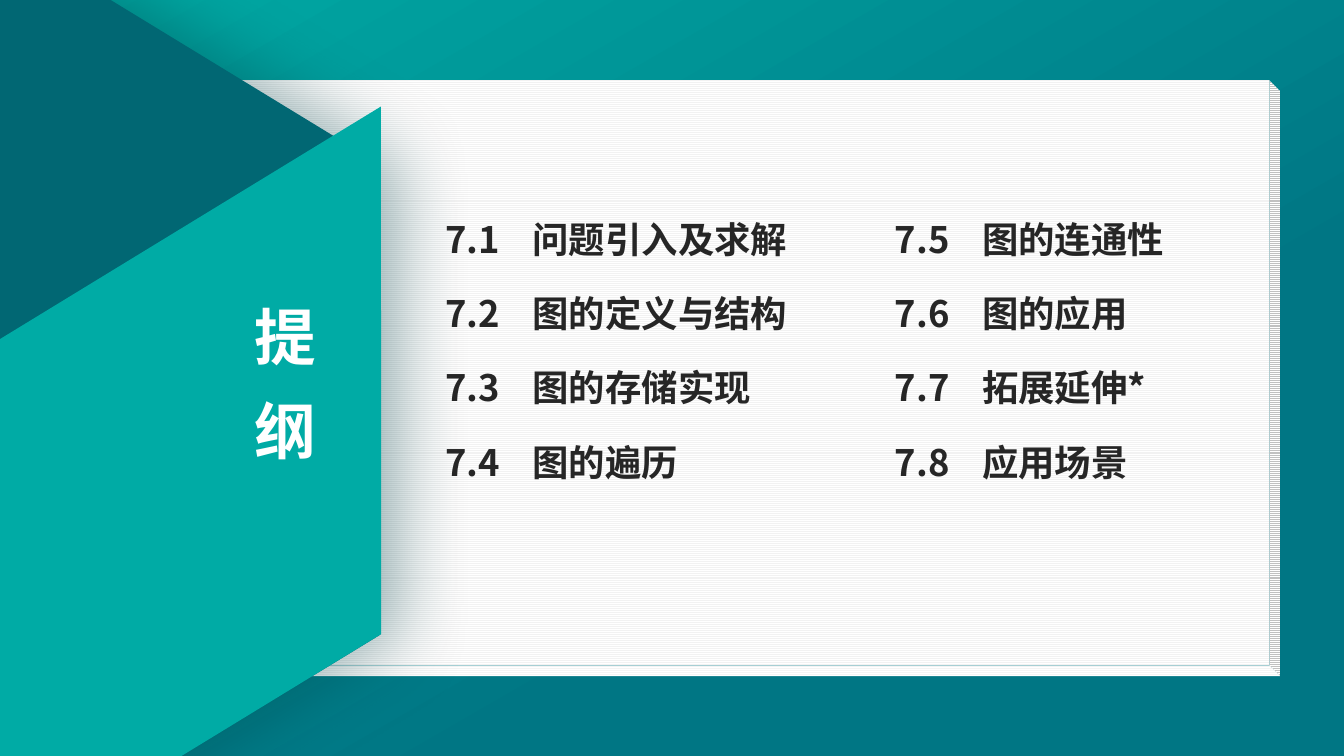
from dataclasses import dataclass

from lxml import etree
from pptx import Presentation
from pptx.dml.color import RGBColor
from pptx.enum.dml import MSO_PATTERN
from pptx.enum.shapes import MSO_SHAPE
from pptx.enum.text import MSO_ANCHOR, MSO_AUTO_SIZE, PP_ALIGN
from pptx.oxml.ns import qn
from pptx.util import Cm, Pt

CUBE, HEXAGON, PARALLELOGRAM = MSO_SHAPE.CUBE, MSO_SHAPE.HEXAGON, MSO_SHAPE.PARALLELOGRAM
LINES = MSO_PATTERN.LIGHT_HORIZONTAL
TOP, NO_FIT = MSO_ANCHOR.TOP, MSO_AUTO_SIZE.NONE
LEFT, CENTER = PP_ALIGN.LEFT, PP_ALIGN.CENTER

TITLE = ["提", "纲"]
OUTLINE = [
    [("7.1", "问题引入及求解"), ("7.2", "图的定义与结构"),
     ("7.3", "图的存储实现"), ("7.4", "图的遍历")],
    [("7.5", "图的连通性"), ("7.6", "图的应用"),
     ("7.7", "拓展延伸*"), ("7.8", "应用场景")],
]


@dataclass(frozen=True)
class Theme:
    font: str = "Noto Sans CJK SC"
    teal: str = "00ABA5"
    deep: str = "007684"
    dark: str = "016773"
    shade: str = "013F45"
    paper: str = "FFFFFF"
    paper_line: str = "F2F2F2"
    ink: str = "262626"
    black: str = "000000"
    title_size: int = 44
    title_pitch: int = 67
    item_size: int = 26
    item_pitch: int = 53


theme = Theme()


def rgb(color):
    return RGBColor.from_string(color)


def set_gradient(fill, angle, *stops):
    """Fill with two (position, colour) stops; the angle runs clockwise."""
    fill.gradient()
    fill.gradient_angle = 360 - angle
    for stop, (position, color) in zip(fill.gradient_stops, stops):
        stop.position = position
        stop.color.rgb = rgb(color)


def shadow_effect(color, alpha, blur, dist, angle):
    """Return an effect list; alpha in percent, lengths in points."""
    effects = etree.Element(qn("a:effectLst"))
    outer = etree.SubElement(effects, qn("a:outerShdw"), blurRad=str(Pt(blur)),
                             dist=str(Pt(dist)), dir=str(angle * 60000),
                             algn="ctr", rotWithShape="0")
    clr = etree.SubElement(outer, qn("a:srgbClr"), val=color)
    etree.SubElement(clr, qn("a:alpha"), val=str(alpha * 1000))
    return effects


def add_panel(s, kind, box, adjust, rotation=0):
    sp = s.shapes.add_shape(kind, *map(Cm, box))
    sp.adjustments[0] = adjust
    sp.rotation = rotation
    sp.line.fill.background()
    sp.shadow.inherit = False
    return sp


def write(sp, lines, *, box, size, pitch, color, align=LEFT, inset=0, hang=0, shadow=None):
    """Place a text shape on top of the slide, one paragraph per line."""
    sp.left, sp.top, sp.width, sp.height = map(Cm, box)
    tf = sp.text_frame
    tf.word_wrap, tf.auto_size, tf.vertical_anchor = True, NO_FIT, TOP
    tf.margin_left = tf.margin_right = Cm(inset)
    tf.margin_top = tf.margin_bottom = 0
    for i, line in enumerate(lines):
        p = tf.add_paragraph() if i else tf.paragraphs[0]
        p.alignment, p.line_spacing = align, Pt(pitch)
        p.space_before = p.space_after = Pt(0)
        pPr = p._p.get_or_add_pPr()
        pPr.set("marL", str(Cm(hang)))
        pPr.set("indent", str(-Cm(hang)))
        etree.SubElement(pPr, qn("a:buNone"))
        r = p.add_run()
        r.text = line
        r.font.size, r.font.bold, r.font.name = Pt(size), True, theme.font
        r.font.color.rgb = rgb(color)
        rPr = r._r.get_or_add_rPr()
        if shadow:
            rPr.find(qn("a:solidFill")).addnext(shadow_effect(*shadow))
        etree.SubElement(rPr, qn("a:ea"), typeface=theme.font)
    sp._element.getparent().append(sp._element)


def draw_backdrop(s):
    set_gradient(s.background.fill, 60, (0, theme.teal), (0.67, theme.deep))

    paper = add_panel(s, CUBE, (0, 2.03, 32.26, 15.01), 0.018)
    paper._element.spPr.find(qn("a:xfrm")).set("flipV", "1")
    paper.fill.patterned()
    paper.fill.pattern = LINES
    paper.fill.fore_color.rgb = rgb(theme.paper_line)
    paper.fill.back_color.rgb = rgb(theme.paper)

    hexagon = add_panel(s, HEXAGON, (-15.77, -2.01, 26.57, 24.16), 0.305, 90)
    set_gradient(hexagon.fill, 90, (0.77, theme.dark), (1, theme.deep))
    spPr = hexagon._element.spPr
    spPr.replace(spPr.find(qn("a:effectLst")), shadow_effect(theme.shade, 40, 55, 13, 0))

    ribbon = add_panel(s, PARALLELOGRAM, (-6.96, 7.34, 21.06, 11.35), 0.61, 328.6)
    ribbon.fill.solid()
    ribbon.fill.fore_color.rgb = rgb(theme.teal)


def main():
    prs = Presentation()
    prs.slide_width, prs.slide_height = Cm(33.87), Cm(19.05)
    s = prs.slides.add_slide(prs.slide_layouts[3])
    title, *columns = s.placeholders
    draw_backdrop(s)
    write(title, TITLE, box=(6.2, 7.03, 2, 4.73), size=theme.title_size,
          pitch=theme.title_pitch, color=theme.paper, align=CENTER,
          shadow=(theme.black, 43, 3, 3, 45))
    for i, (column, items) in enumerate(zip(columns, OUTLINE)):
        write(column, [f"{number}\t{topic}" for number, topic in items],
              box=(10.97 + i * 11.33, 4.7, 9.96, 7.48), size=theme.item_size,
              pitch=theme.item_pitch, color=theme.ink, inset=0.25, hang=2.2)
    prs.save("out.pptx")


if __name__ == "__main__":
    main()
